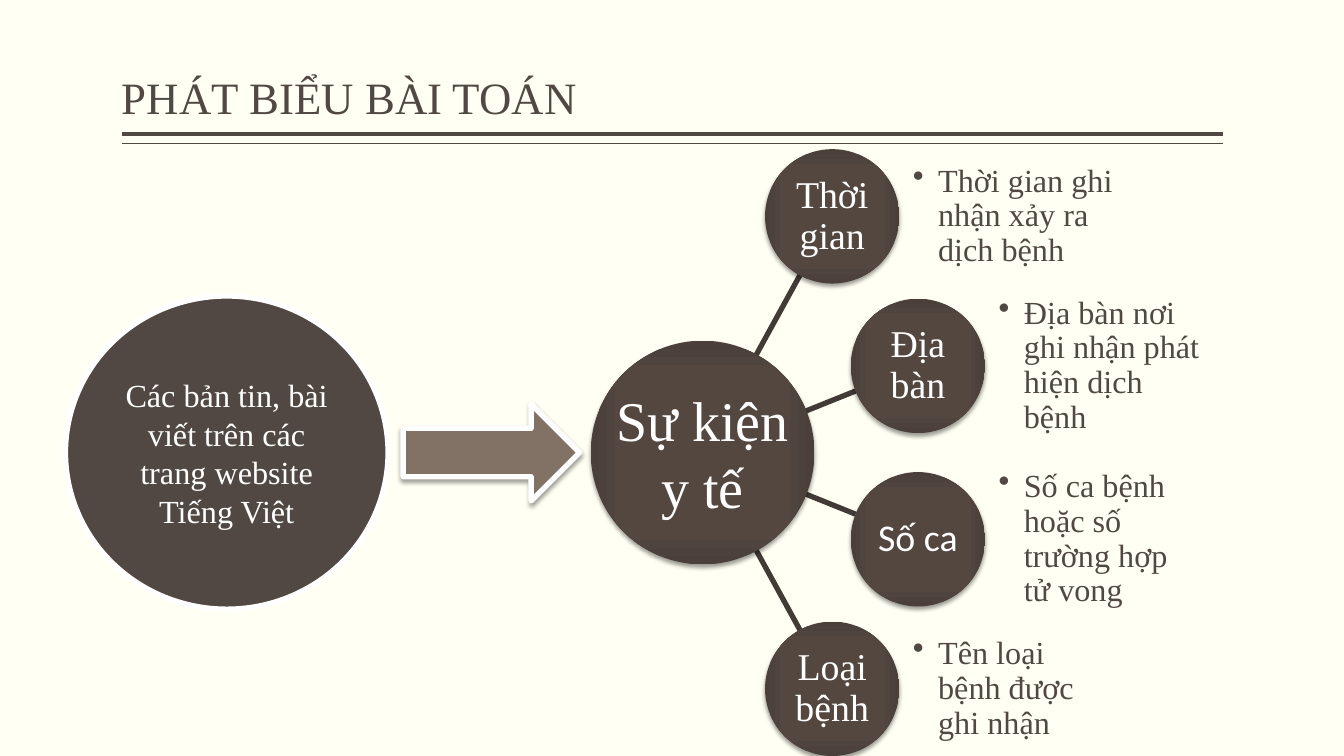
import math
import pptx
import pptx.util
import pptx.dml.color
import pptx.enum.shapes
import pptx.enum.text
import pptx.oxml
import pptx.oxml.ns

COLORS = {"background": "FFFFF3", "text": "514843", "white": "FFFFFF", "spoke": "413A36",
          "arrow": "827266", "center": "544740", "middle": "534740", "edge": "4A3F39"}
COLORS_RGB = {name: pptx.dml.color.RGBColor.from_string(value) for name, value in COLORS.items()}
SERIF = "Times New Roman"
NAMESPACE = pptx.oxml.ns.nsdecls("a")
SHAPES = pptx.enum.shapes.MSO_SHAPE
ANCHOR = pptx.enum.text.MSO_ANCHOR
ALIGN = pptx.enum.text.PP_ALIGN

presentation = pptx.Presentation()
presentation.slide_width = pptx.util.Inches(13.33)
presentation.slide_height = pptx.util.Inches(7.5)
COLUMN = presentation.slide_width / 40
ROW = presentation.slide_height / 22.5
slide = presentation.slides.add_slide(presentation.slide_layouts[6])
slide.background.fill.solid()
slide.background.fill.fore_color.rgb = COLORS_RGB["background"]


def add_shape(kind, left, top, width, height, fill=None, outline=0, blur=0):
    box = [round(value) for value in (left * COLUMN, top * ROW, width * COLUMN, height * ROW)]
    if kind is None:
        return slide.shapes.add_textbox(*box)
    shape = slide.shapes.add_shape(kind, *box)
    shape.shadow.inherit = False
    properties = shape._element.spPr
    if fill:
        shape.fill.solid()
        shape.fill.fore_color.rgb = COLORS_RGB[fill]
    else:
        shape.fill.gradient()
        stops = "".join(
            f'<a:gs pos="{position}000"><a:srgbClr val="{COLORS[name]}"/></a:gs>'
            for position, name in ((0, "center"), (71, "middle"), (100, "edge")))
        gradient = properties.find(pptx.oxml.ns.qn("a:gradFill"))
        properties.replace(gradient, pptx.oxml.parse_xml(
            f'<a:gradFill {NAMESPACE} rotWithShape="1"><a:gsLst>{stops}</a:gsLst><a:path path="rect">'
            '<a:fillToRect l="50000" t="50000" r="50000" b="50000"/></a:path></a:gradFill>'))
    if outline:
        shape.line.color.rgb = COLORS_RGB["white"]
        shape.line.width = pptx.util.Pt(outline)
    else:
        shape.line.fill.background()
    if blur:
        properties.find(pptx.oxml.ns.qn("a:effectLst")).append(pptx.oxml.parse_xml(
            f'<a:outerShdw {NAMESPACE} blurRad="{pptx.util.Pt(blur)}" dist="{pptx.util.Pt(2)}" '
            'dir="5400000" rotWithShape="0"><a:srgbClr val="000000"><a:alpha val="38000"/>'
            '</a:srgbClr></a:outerShdw>'))
    return shape


def write_text(shape, text, size, color="white", font=SERIF, align=ALIGN.CENTER,
               anchor=ANCHOR.MIDDLE, margins=(0.3, 0.15), spacing=1.0, bullet=False):
    across, down = round(margins[0] * COLUMN), round(margins[1] * ROW)
    frame = shape.text_frame
    frame_format = {"word_wrap": True, "vertical_anchor": anchor, "margin_left": across,
                    "margin_right": across, "margin_top": down, "margin_bottom": down}
    for name, value in frame_format.items():
        setattr(frame, name, value)
    paragraph = frame.paragraphs[0]
    paragraph.text = text
    paragraph.alignment = align
    paragraph.line_spacing = spacing
    if bullet:
        properties = paragraph._p.get_or_add_pPr()
        indent = round(0.75 * COLUMN)
        properties.set("marL", str(indent))
        properties.set("indent", str(-indent))
        properties.append(pptx.oxml.parse_xml(f'<a:buChar {NAMESPACE} char="•"/>'))
    run_font = paragraph.runs[0].font
    for name, value in {"name": font, "size": pptx.util.Pt(size)}.items():
        setattr(run_font, name, value)
    run_font.color.rgb = COLORS_RGB[color]


AXIS = 13.47
HUB_X, HUB_RADIUS = 20.91, 3.33
RADIUS = 2
TITLE_LEFT, TITLE_WIDTH = 3.63, 32.76
satellites = [
    (3.86, -7.03, "Thời gian", SERIF, "Thời gian ghi nhận xảy ra dịch bệnh"),
    (6.41, -2.58, "Địa bàn", SERIF, "Địa bàn nơi ghi nhận phát hiện dịch bệnh"),
    (6.41, 2.58, "Số ca", "Calibri", "Số ca bệnh hoặc số trường hợp tử vong"),
    (3.86, 7.03, "Loại bệnh", SERIF, "Tên loại bệnh được ghi nhận"),
]

lines = [(TITLE_LEFT, y, TITLE_LEFT + TITLE_WIDTH, y, "text", weight)
         for y, weight in ((4, 3), (4.28, 1))]
for across, down, *_ in satellites:
    distance = math.hypot(across, down)
    start, end = 0.8 * HUB_RADIUS / distance, 1 - RADIUS / distance
    lines.append((HUB_X + start * across, AXIS + start * down,
                  HUB_X + end * across, AXIS + end * down, "spoke", 3.78))
for x1, y1, x2, y2, color, weight in lines:
    connector = slide.shapes.add_connector(
        pptx.enum.shapes.MSO_CONNECTOR.STRAIGHT,
        round(x1 * COLUMN), round(y1 * ROW), round(x2 * COLUMN), round(y2 * ROW))
    connector.line.color.rgb = COLORS_RGB[color]
    connector.line.width = pptx.util.Pt(weight)
    connector._element.spPr.append(pptx.oxml.parse_xml(f"<a:effectLst {NAMESPACE}/>"))

title = add_shape(None, TITLE_LEFT, 0.24, TITLE_WIDTH, 3.6)
write_text(title, "PHÁT BIỂU BÀI TOÁN", 32, "text", align=ALIGN.LEFT,
           anchor=ANCHOR.BOTTOM, margins=(0, 0.15), spacing=0.9)

add_shape(SHAPES.OVAL, HUB_X - HUB_RADIUS, AXIS - HUB_RADIUS,
          2 * HUB_RADIUS, 2 * HUB_RADIUS, blur=3.1)
for across, down, label, font, detail in satellites:
    left, top = HUB_X + across - RADIUS, AXIS + down - RADIUS
    circle = add_shape(SHAPES.OVAL, left, top, 2 * RADIUS, 2 * RADIUS, blur=3.1)
    write_text(circle, label, 27, font=font, margins=(0.05, 0.05), spacing=0.9)
    description = add_shape(None, left + 4.4, top, 6, 2 * RADIUS)
    write_text(description, detail, 23, "text", align=ALIGN.LEFT,
               margins=(0, 0), spacing=0.9, bullet=True)

source = add_shape(SHAPES.OVAL, 1.95, AXIS - 4.66, 9.6, 9.32, fill="text", outline=3.78)
write_text(source, "Các bản tin, bài viết trên các trang website Tiếng Việt", 23)
hub_label = add_shape(None, HUB_X - 3.2, AXIS - 2.18, 6.4, 4.36)
write_text(hub_label, "Sự kiện y tế", 40)
add_shape(SHAPES.RIGHT_ARROW, 12, AXIS - 1.44, 5.25, 2.88, fill="arrow", outline=3.82, blur=3.5)

presentation.save("out.pptx")
